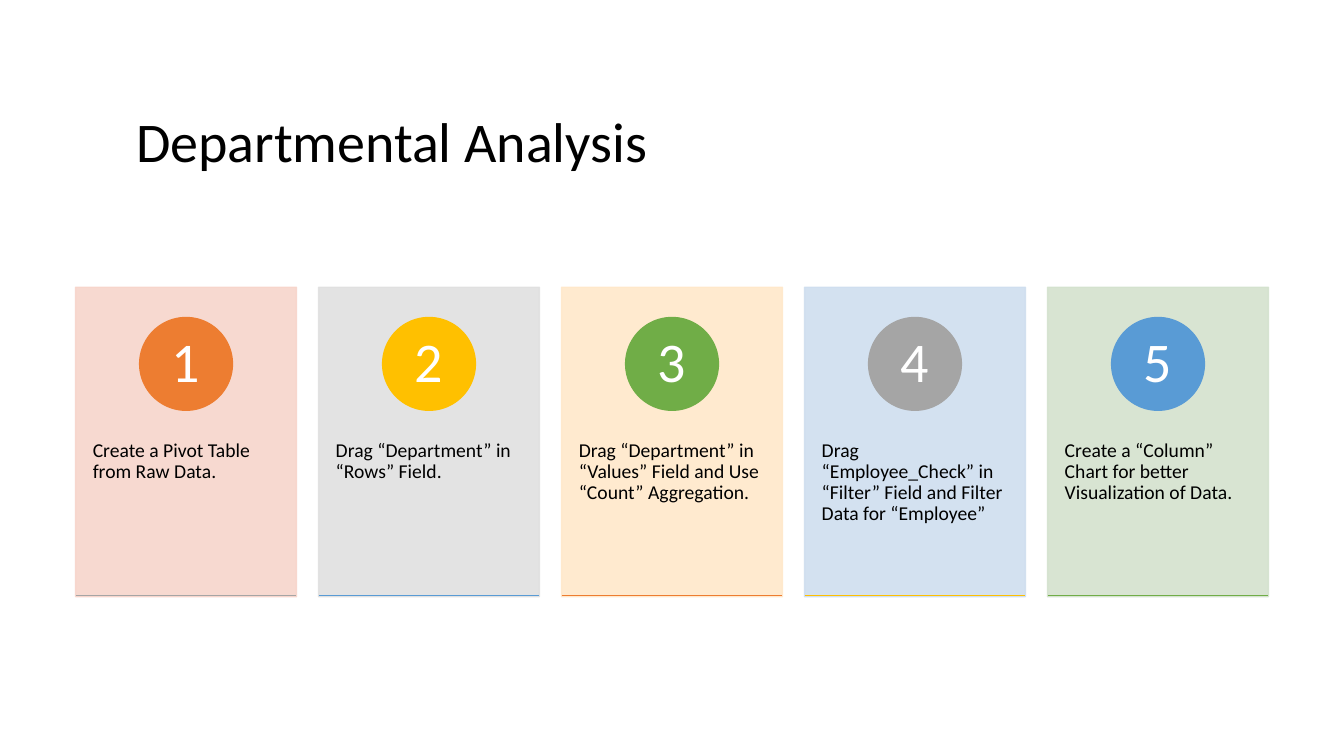
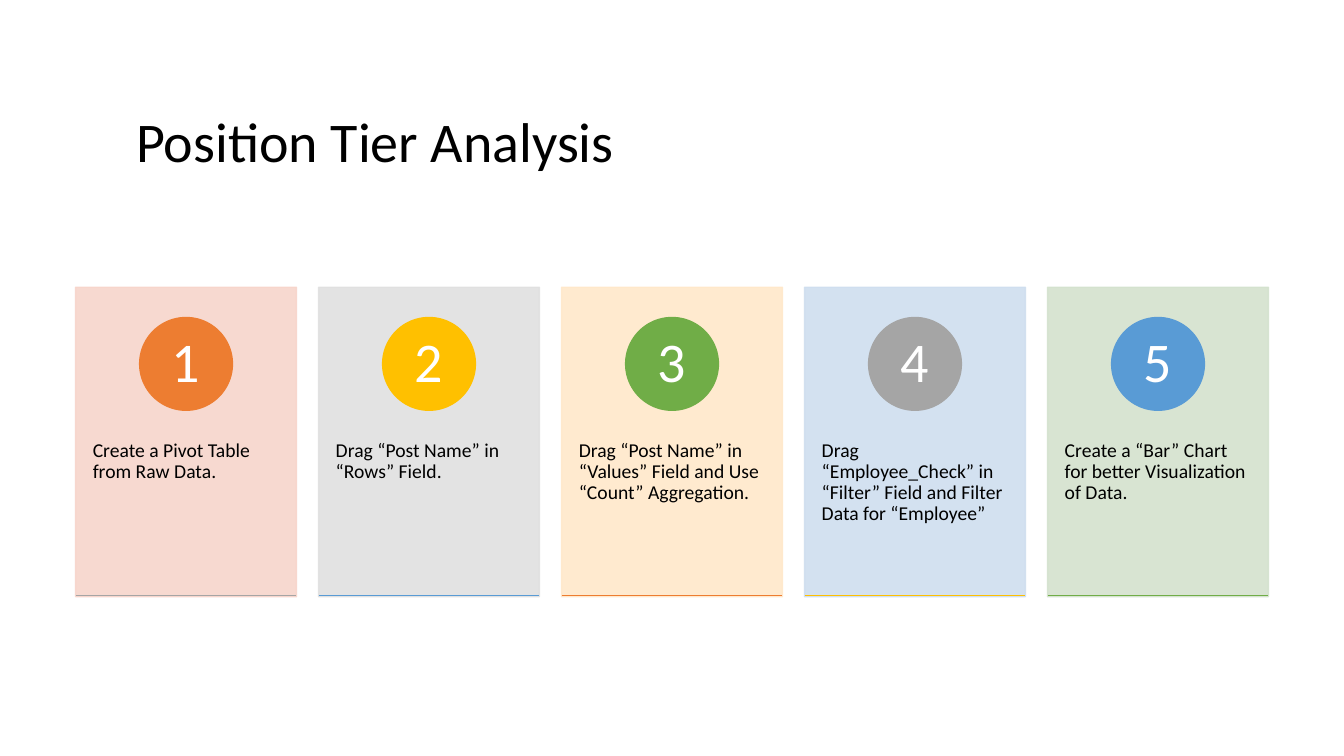
import lxml.etree
import pptx
import pptx.dml.color
import pptx.enum.shapes
import pptx.enum.text
import pptx.oxml.ns
import pptx.util

THEME = {
    "font": "Calibri",
    "ink": "000000",
    "light": "FFFFFF",
    "large": 40,
    "small": 14,
    "spacing": 0.9,
    "outline": 1,
    "card_alpha": 90,
}

ANALYSES = [
    ("Departmental Analysis", "Department", "Column"),
    ("Position Tier Analysis", "Post Name", "Bar"),
]
STEPS = [
    "Create a Pivot Table from Raw Data.",
    "Drag “{field}” in “Rows” Field.",
    "Drag “{field}” in “Values” Field and Use “Count” Aggregation.",
    "Drag “Employee_Check” in “Filter” Field and Filter Data for “Employee”",
    "Create a “{chart}” Chart for better Visualization of Data.",
]
STEP_COLORS = [
    ("F7D5CB", "ED7D31", "A5A5A5"),
    ("E0E0E0", "FFC000", "599BD5"),
    ("FFE8CA", "70AD47", "ED7D31"),
    ("CFDEEF", "A5A5A5", "FFC000"),
    ("D4E2CE", "599BD5", "70AD47"),
]

PX = 9144
SLIDE_SIZE = (1333, 750)
TITLE_BOX = (125, 108, 1083, 75)
CARD_LEFT, CARD_TOP, CARD_WIDTH, CARD_HEIGHT = 75, 285, 219, 307
CARD_PITCH = 241
BADGE_TOP, BADGE_SIZE = 315, 92
RULE_Y = 591
TITLE_INSETS = (10, 5, 10, 5)
CARD_INSETS = (17, 152, 17, 36)
BADGE_INSETS = (7, 1, 7, 1)

SHAPES = pptx.enum.shapes.MSO_SHAPE
ALIGN = pptx.enum.text.PP_ALIGN
ANCHOR = pptx.enum.text.MSO_ANCHOR


def emu(*lengths):
    return [round(length * PX) for length in lengths]


def rgb(color):
    return pptx.dml.color.RGBColor.from_string(color)


def apply(target, values):
    for key, value in values.items():
        setattr(target, key, value)


def write(shape, text, size, color, insets, align=ALIGN.LEFT, anchor=ANCHOR.TOP):
    frame = shape.text_frame
    frame.text = text
    left, top, right, bottom = emu(*insets)
    apply(frame, {
        "word_wrap": True,
        "auto_size": pptx.enum.text.MSO_AUTO_SIZE.NONE,
        "vertical_anchor": anchor,
        "margin_left": left,
        "margin_top": top,
        "margin_right": right,
        "margin_bottom": bottom,
    })
    paragraph = frame.paragraphs[0]
    apply(paragraph, {"alignment": align, "line_spacing": THEME["spacing"]})
    font = paragraph.runs[0].font
    apply(font, {"name": THEME["font"], "size": pptx.util.Pt(size)})
    font.color.rgb = rgb(color)


def stroke(line, color):
    line.color.rgb = rgb(color)
    line.width = pptx.util.Pt(THEME["outline"])


def add_filled(slide, preset, box, color):
    shape = slide.shapes.add_shape(preset, *emu(*box))
    shape.shadow.inherit = False
    shape.fill.solid()
    shape.fill.fore_color.rgb = rgb(color)
    stroke(shape.line, color)
    return shape


def set_alpha(shape, percent):
    qn = pptx.oxml.ns.qn
    for color in shape._element.spPr.iter(qn("a:srgbClr")):
        lxml.etree.SubElement(color, qn("a:alpha"), val=str(percent * 1000))


def add_rule(slide, left, color):
    rule = slide.shapes.add_connector(
        pptx.enum.shapes.MSO_CONNECTOR.STRAIGHT,
        *emu(left, RULE_Y, left + CARD_WIDTH, RULE_Y))
    stroke(rule.line, color)
    lxml.etree.SubElement(rule._element.spPr, pptx.oxml.ns.qn("a:effectLst"))


def add_step(slide, index, caption):
    card_color, badge_color, rule_color = STEP_COLORS[index]
    left = CARD_LEFT + index * CARD_PITCH
    card = add_filled(slide, SHAPES.RECTANGLE,
                      (left, CARD_TOP, CARD_WIDTH, CARD_HEIGHT), card_color)
    set_alpha(card, THEME["card_alpha"])
    write(card, caption, THEME["small"], THEME["ink"], CARD_INSETS)
    badge_left = left + (CARD_WIDTH - BADGE_SIZE) / 2
    badge = add_filled(slide, SHAPES.OVAL,
                       (badge_left, BADGE_TOP, BADGE_SIZE, BADGE_SIZE), badge_color)
    write(badge, str(index + 1), THEME["large"], THEME["light"], BADGE_INSETS,
          ALIGN.CENTER, ANCHOR.MIDDLE)
    add_rule(slide, left, rule_color)


def add_analysis(deck, heading, field, chart):
    slide = deck.slides.add_slide(deck.slide_layouts[5])
    title = slide.shapes.title
    apply(title, dict(zip(("left", "top", "width", "height"), emu(*TITLE_BOX))))
    write(title, heading, THEME["large"], THEME["ink"], TITLE_INSETS)
    for index, step in enumerate(STEPS):
        add_step(slide, index, step.format(field=field, chart=chart))


def main():
    deck = pptx.Presentation()
    deck.slide_width, deck.slide_height = emu(*SLIDE_SIZE)
    for analysis in ANALYSES:
        add_analysis(deck, *analysis)
    deck.save("out.pptx")


if __name__ == "__main__":
    main()
